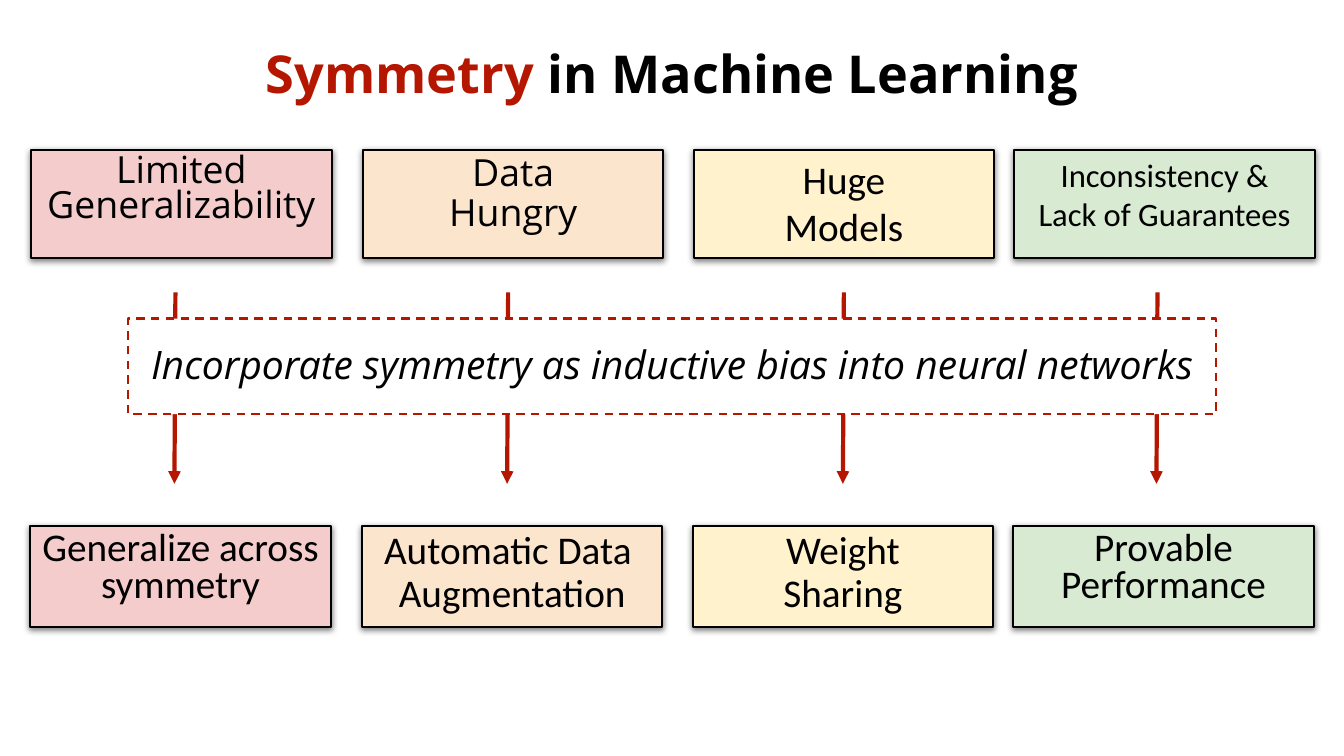
from dataclasses import dataclass

from lxml import etree
from pptx import Presentation
from pptx.dml.color import RGBColor
from pptx.enum.dml import MSO_LINE
from pptx.enum.shapes import MSO_CONNECTOR, MSO_SHAPE
from pptx.enum.text import MSO_ANCHOR, PP_ALIGN
from pptx.oxml.ns import qn
from pptx.util import Pt

RECT = MSO_SHAPE.RECTANGLE
STRAIGHT = MSO_CONNECTOR.STRAIGHT
DASH = MSO_LINE.DASH
TOP, MIDDLE = MSO_ANCHOR.TOP, MSO_ANCHOR.MIDDLE
CENTER = PP_ALIGN.CENTER
SCALE = 9144  # EMU in one px, at 100 px to the inch


@dataclass(frozen=True)
class Theme:
    ink: str = "000000"
    red: str = "B41600"
    white: str = "FFFFFF"
    tints: tuple = ("F4CCCC", "FCE5CD", "FFF2CC", "D9EAD3")
    sans: str = "Open Sans"
    plain: str = "Calibri"
    title: float = 37.3
    body: float = 28
    mid: float = 26.7
    small: float = 23.3


THEME = Theme()
LEFTS = (31, 360, 688, 1006)
STEMS = (174, 504, 837, 1148)
# text, font, size, line spacing
LIMITS = (
    ("Limited Generalizability", THEME.sans, THEME.mid, 0.79),
    ("Data\nHungry", THEME.sans, THEME.mid, 0.88),
    ("Huge\nModels", THEME.plain, THEME.body, 1.0),
    ("Inconsistency &\nLack of Guarantees", THEME.plain, THEME.small, 1.0),
)
GAINS = (
    ("Generalize across symmetry", THEME.plain, THEME.body, 0.8),
    ("Automatic Data \nAugmentation", THEME.plain, THEME.body, 0.9),
    ("Weight\nSharing", THEME.plain, THEME.body, 0.9),
    ("Provable Performance", THEME.plain, THEME.body, 0.8),
)


def px(*values):
    return [value * SCALE for value in values]


def rgb(color):
    return RGBColor.from_string(color)


def style(run, font, size, color=THEME.ink):
    run.font.name = font
    run.font.size = Pt(size)
    run.font.color.rgb = rgb(color)


def write(shape, text, font, size, spacing, anchor=TOP):
    """Fill a shape with centred text, one paragraph for each line."""
    frame = shape.text_frame
    frame.text = text
    frame.word_wrap = True
    frame.vertical_anchor = anchor
    for para in frame.paragraphs:
        para.alignment = CENTER
        para.line_spacing = spacing
        for run in para.runs:
            style(run, font, size)


def add_box(slide, area, fill, line):
    box = slide.shapes.add_shape(RECT, *px(*area))
    box.shadow.inherit = False
    box.fill.solid()
    box.fill.fore_color.rgb = rgb(fill)
    box.line.color.rgb = rgb(line)
    box.line.width = Pt(1.5)
    return box


def add_shade(box):
    """Give a box a soft shadow below it."""
    effects = box._element.spPr.find(qn("a:effectLst"))
    shade = etree.SubElement(effects, qn("a:outerShdw"), blurRad=str(Pt(4.5)),
                             dist=str(Pt(1.5)), dir="5400000", rotWithShape="0")
    color = etree.SubElement(shade, qn("a:srgbClr"), val=THEME.ink)
    etree.SubElement(color, qn("a:alpha"), val="50000")


def add_row(slide, cards, shift, top, height):
    for left, tint, card in zip(LEFTS, THEME.tints, cards):
        box = add_box(slide, (left + shift, top, 298, height), tint, THEME.ink)
        add_shade(box)
        write(box, *card)


def add_arrow(slide, x):
    arrow = slide.shapes.add_connector(STRAIGHT, *px(x, 290, x - 1, 480))
    arrow.line.color.rgb = rgb(THEME.red)
    arrow.line.width = Pt(3)
    etree.SubElement(arrow.line._get_or_add_ln(), qn("a:tailEnd"), type="triangle")
    etree.SubElement(arrow._element.spPr, qn("a:effectLst"))


def add_title(slide):
    box = slide.shapes.add_textbox(*px(42, 3, 1249, 145))
    write(box, "Symmetry ", THEME.sans, THEME.title, 0.9, MIDDLE)
    para = box.text_frame.paragraphs[0]
    rest = para.add_run()
    rest.text = "in Machine Learning"
    for run, color in zip(para.runs, (THEME.red, THEME.ink)):
        style(run, THEME.sans, THEME.title, color)
        run.font.bold = True


def add_banner(slide):
    box = add_box(slide, (127, 316, 1079, 95), THEME.white, THEME.red)
    box.line.dash_style = DASH
    write(box, "Incorporate symmetry as inductive bias into neural networks",
          THEME.sans, THEME.body, 0.9, MIDDLE)
    box.text_frame.paragraphs[0].runs[0].font.italic = True


def main():
    deck = Presentation()
    deck.slide_width, deck.slide_height = px(1333, 750)
    slide = deck.slides.add_slide(deck.slide_layouts[6])
    add_title(slide)
    add_row(slide, LIMITS, 0, 149, 107)
    add_row(slide, GAINS, -1, 522, 100)
    for x in STEMS:
        add_arrow(slide, x)
    add_banner(slide)
    deck.save("out.pptx")


if __name__ == "__main__":
    main()
